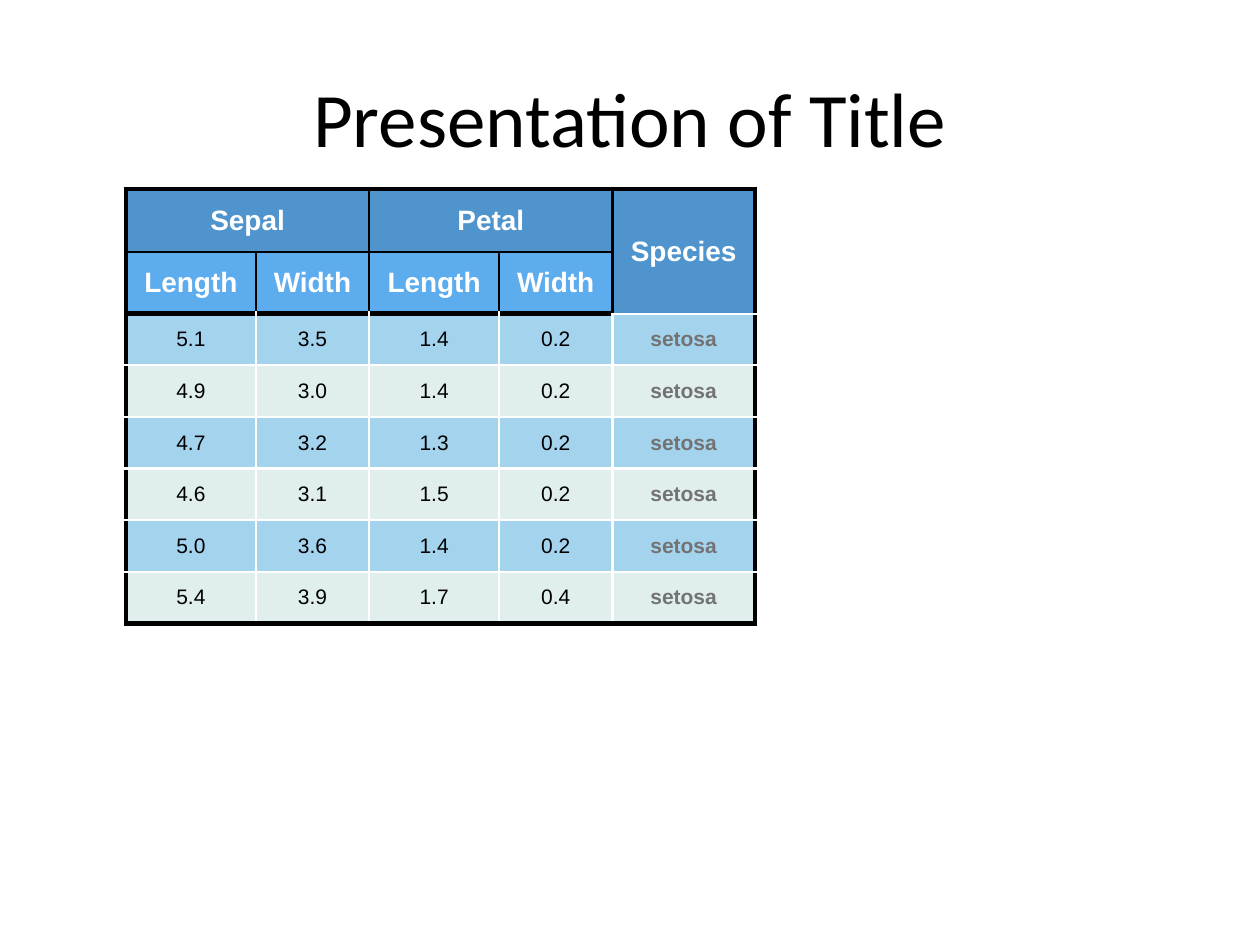
from lxml import etree
from pptx import Presentation
from pptx import util as u
from pptx.dml.color import RGBColor
from pptx.enum import text
from pptx.oxml import ns

BLACK = RGBColor(0x00, 0x00, 0x00)
WHITE = RGBColor(0xFF, 0xFF, 0xFF)
GREY = RGBColor(0x73, 0x73, 0x73)
STEEL = RGBColor(0x4F, 0x94, 0xCD)
AZURE = RGBColor(0x5C, 0xAC, 0xEE)
SKY = RGBColor(0xA4, 0xD3, 0xEE)
MIST = RGBColor(0xE0, 0xEE, 0xEE)

HEADS = [
    ["Sepal", "", "Petal", "", "Species"],
    ["Length", "Width", "Length", "Width", ""],
]
DATA = [
    ["5.1", "3.5", "1.4", "0.2", "setosa"],
    ["4.9", "3.0", "1.4", "0.2", "setosa"],
    ["4.7", "3.2", "1.3", "0.2", "setosa"],
    ["4.6", "3.1", "1.5", "0.2", "setosa"],
    ["5.0", "3.6", "1.4", "0.2", "setosa"],
    ["5.4", "3.9", "1.7", "0.4", "setosa"],
]
COLS = [74.2, 64.8, 74.2, 64.8, 81.4]
ROWS = [36, 35.3] + [29.5] * len(DATA)
MERGES = [(0, 0, 0, 1), (0, 2, 0, 3), (0, 4, 1, 4)]
THIN, THICK, PAD = 1.5, 3, 5


def add_title(slide, words, left, top, width, height):
    title = slide.shapes.title
    title.left, title.top = u.Pt(left), u.Pt(top)
    title.width, title.height = u.Pt(width), u.Pt(height)
    frame = title.text_frame
    frame.text = words
    frame.vertical_anchor = text.MSO_ANCHOR.MIDDLE
    para = frame.paragraphs[0]
    para.alignment = text.PP_ALIGN.CENTER
    para.font.name, para.font.size = "Calibri", u.Pt(44)
    para.font.color.rgb = BLACK


def draw_edge(cell, side, color, width):
    props = cell._tc.get_or_add_tcPr()
    line = etree.SubElement(props, ns.qn("a:ln" + side), w=str(u.Pt(width)))
    fill = etree.SubElement(line, ns.qn("a:solidFill"))
    etree.SubElement(fill, ns.qn("a:srgbClr"), val=str(color))


def style_cell(cell, words, fill, size, color, bold):
    cell.margin_left = cell.margin_right = 0
    cell.margin_top = cell.margin_bottom = 0
    cell.vertical_anchor = text.MSO_ANCHOR.MIDDLE
    cell.fill.solid()
    cell.fill.fore_color.rgb = fill
    cell.text = words
    para = cell.text_frame.paragraphs[0]
    para.alignment = text.PP_ALIGN.CENTER
    para.space_before = para.space_after = u.Pt(PAD)
    indent = para._p.get_or_add_pPr()
    for side in ("marL", "marR"):
        indent.set(side, str(u.Pt(PAD)))
    font = para.font
    font.name, font.size, font.bold = "Arial", u.Pt(size), bold
    font.color.rgb = color


def add_grid(slide, left, top):
    cells = HEADS + DATA
    last_row, last_col = len(cells) - 1, len(COLS) - 1
    frame = slide.shapes.add_table(len(cells), len(COLS), u.Pt(left), u.Pt(top),
                                   u.Pt(sum(COLS)), u.Pt(sum(ROWS)))
    table = frame.table
    table.first_row = table.horz_banding = False
    for col, width in zip(table.columns, COLS):
        col.width = u.Pt(width)
    for row, height in zip(table.rows, ROWS):
        row.height = u.Pt(height)

    for r, row in enumerate(cells):
        head = r < len(HEADS)
        for c, words in enumerate(row):
            cell = table.cell(r, c)
            # Thick black frame around the table and below the header
            heavy = {"L": c == 0, "R": c == last_col, "T": r == 0,
                     "B": r in (len(HEADS) - 1, last_row)}
            for side, thick in heavy.items():
                draw_edge(cell, side, BLACK if head or thick else WHITE,
                          THICK if thick else THIN)
            # Header levels, then striped body with species in bold
            species = c == last_col
            if head:
                fill = STEEL if r == 0 or species else AZURE
                style_cell(cell, words, fill, 16, WHITE, True)
            else:
                style_cell(cell, words, MIST if r % 2 else SKY, 12,
                           GREY if species else BLACK, species)

    for r1, c1, r2, c2 in MERGES:
        table.cell(r1, c1).merge(table.cell(r2, c2))


deck = Presentation()
deck.slide_width, deck.slide_height = u.Pt(720), u.Pt(540)
slide = deck.slides.add_slide(deck.slide_layouts.get_by_name("Title Only"))
add_title(slide, "Presentation of Title", 36, 21.6, 648, 90)
add_grid(slide, 72, 108)
deck.save("out.pptx")
